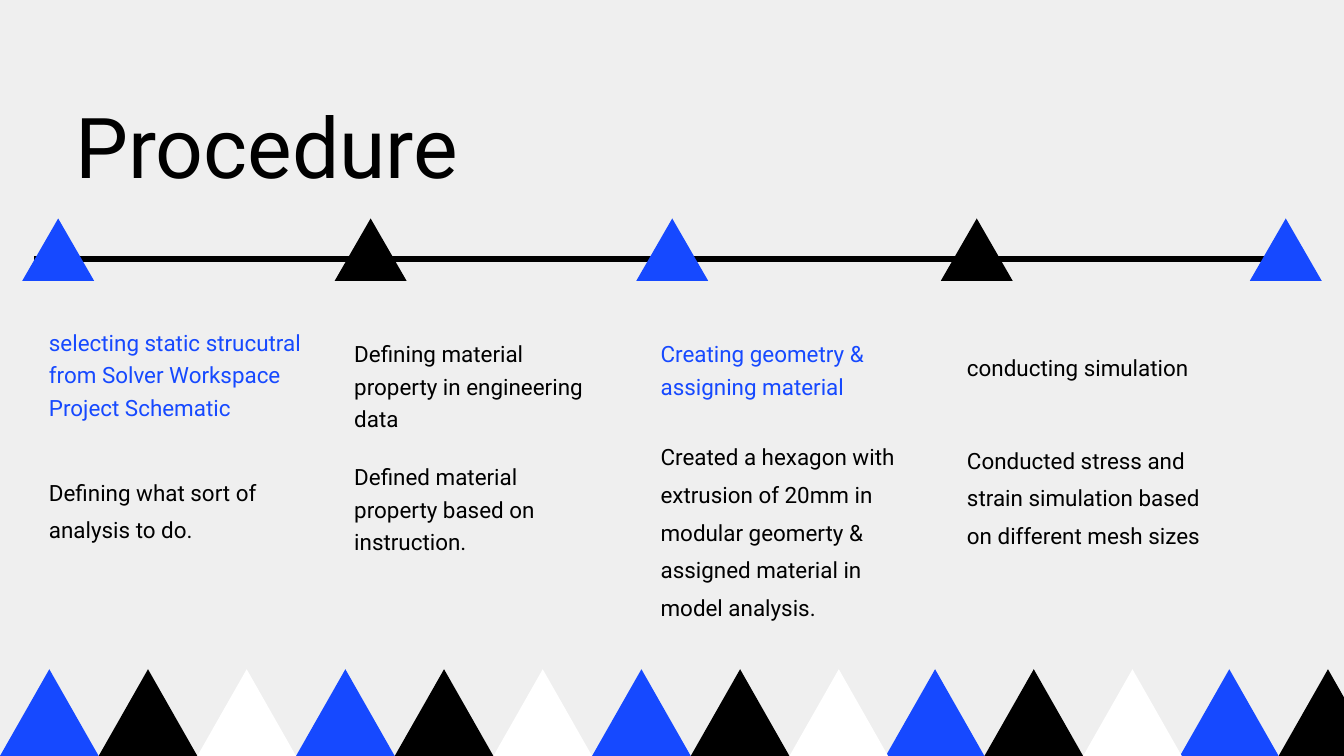
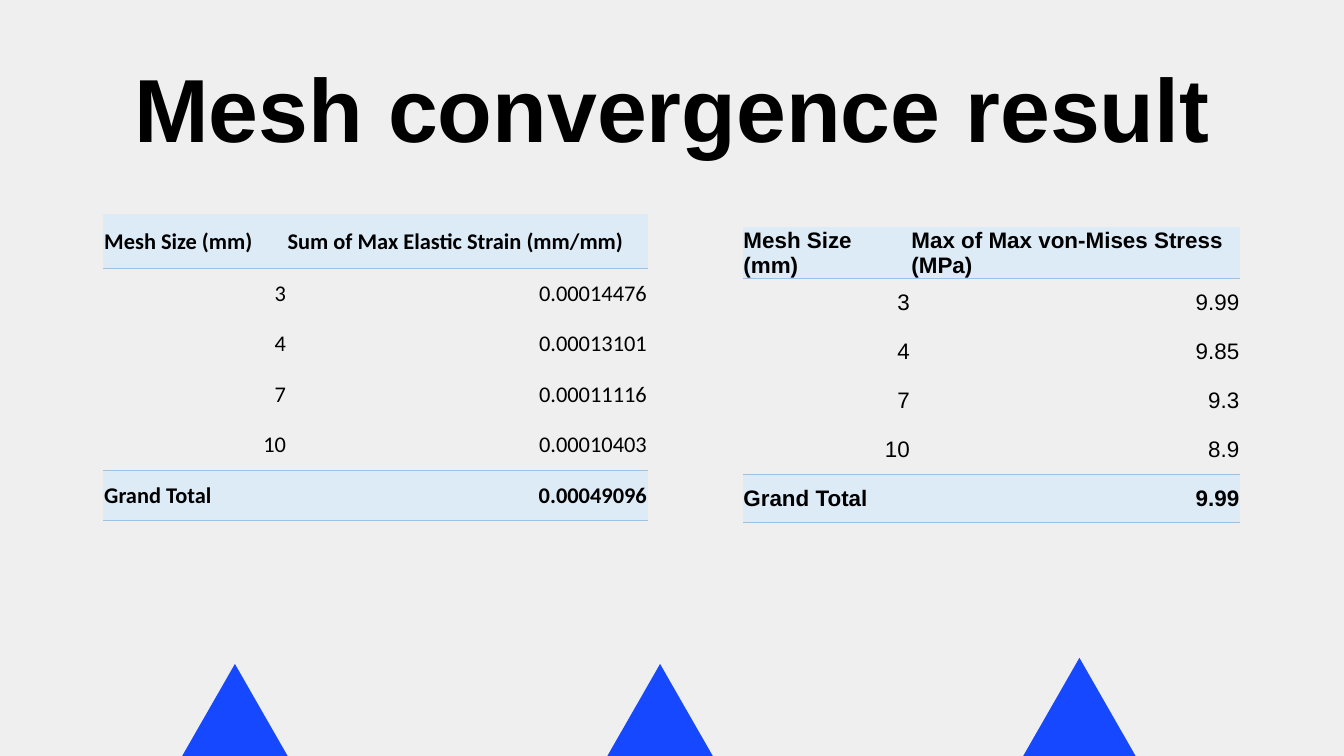
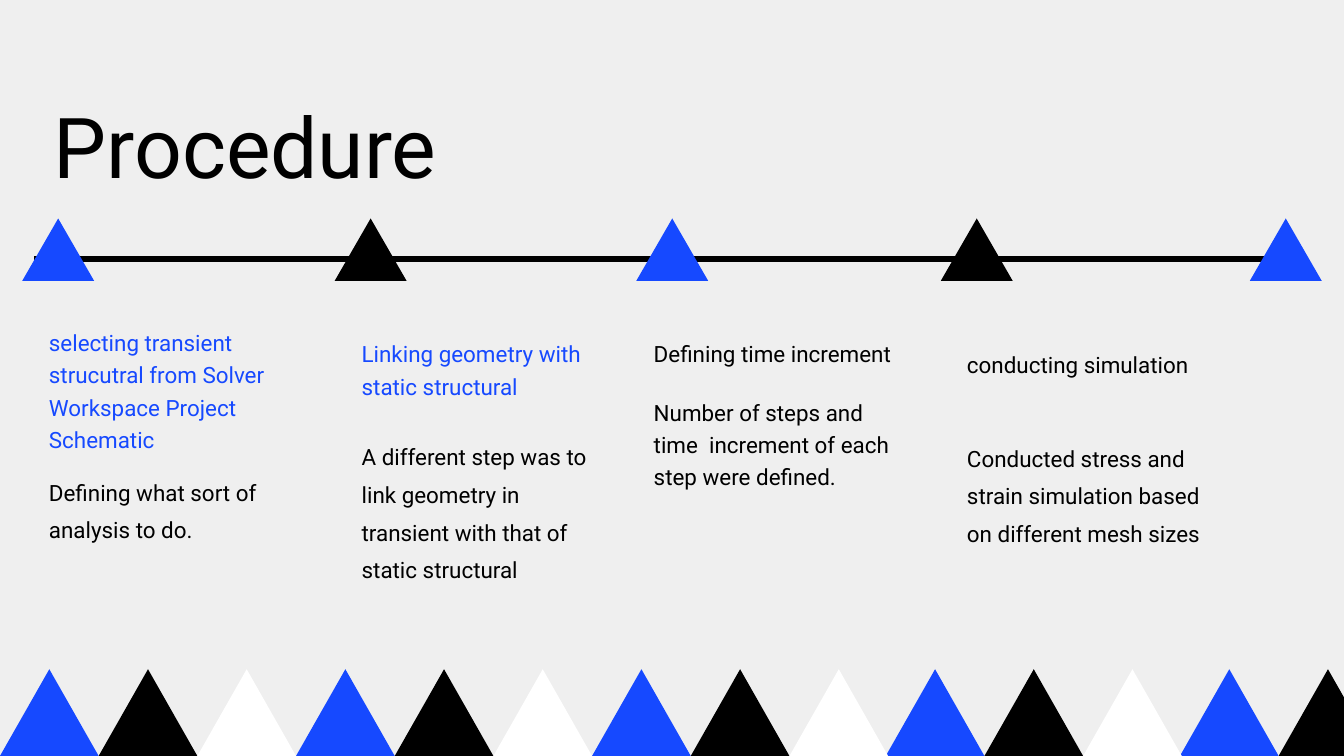
"""Build three slides on a mesh study: two procedure timelines and a results page."""
from lxml import etree
from pptx import Presentation
from pptx.dml.color import RGBColor
from pptx.enum.shapes import MSO_CONNECTOR, MSO_SHAPE
from pptx.enum.text import MSO_ANCHOR, MSO_AUTO_SIZE, PP_ALIGN
from pptx.oxml import parse_xml
from pptx.oxml.ns import nsdecls, qn
from pptx.util import Cm, Pt

STRAIGHT = MSO_CONNECTOR.STRAIGHT
TRIANGLE = MSO_SHAPE.ISOSCELES_TRIANGLE
TOP, MIDDLE = MSO_ANCHOR.TOP, MSO_ANCHOR.MIDDLE
NO_FIT = MSO_AUTO_SIZE.NONE
LEFT, CENTER, RIGHT = PP_ALIGN.LEFT, PP_ALIGN.CENTER, PP_ALIGN.RIGHT

COLORS = {
    "background": "EFEFEF",
    "blue": "1649FF",
    "black": "000000",
    "white": "FFFFFF",
    "table_band": "DDEBF7",
    "table_rule": "9BC2E6",
}
RGB = {name: RGBColor.from_string(value) for name, value in COLORS.items()}
NO_STYLE = "{2D5ABB26-0587-4C30-8999-92F81FD0307C}"
FRAME = {"word_wrap": True, "auto_size": NO_FIT, "vertical_anchor": TOP}
MARGINS = ("margin_left", "margin_top", "margin_right", "margin_bottom")


def add_triangle(s, x, y, w, h, color):
    sp = s.shapes.add_shape(TRIANGLE, Cm(x), Cm(y), Cm(w), Cm(h))
    sp.shadow.inherit = False
    sp.fill.solid()
    sp.fill.fore_color.rgb = RGB[color]
    sp.line.fill.background()


def write_text(tf, texts, color, font, spacing=1.0, align=LEFT, gap=0):
    for i, text in enumerate(texts):
        p = tf.paragraphs[0] if i == 0 else tf.add_paragraph()
        p.alignment, p.line_spacing = align, spacing
        if i:
            p.space_before = Pt(gap)
        r = p.add_run()
        r.text = text
        for name, value in font.items():
            setattr(r.font, name, value)
        r.font.color.rgb = RGB[color]


prs = Presentation()
prs.slide_width, prs.slide_height = Cm(50.8), Cm(28.58)

procedure_font = {"name": "Roboto", "size": Pt(90), "bold": False}
result_font = {"name": "Arial", "size": Pt(96), "bold": True}
titles = [
    ("Procedure", (2.84, 2.82, 36.22, 4.62), procedure_font, 1.2, LEFT, 0),
    ("Mesh convergence result", (1.96, 1.88, 46.89, 13.44), result_font, 1.0, CENTER, 0.13),
    ("Procedure", (2.03, 2.82, 36.22, 4.62), procedure_font, 1.2, LEFT, 0),
]
slides = []
for text, box, font, spacing, align, margin in titles:
    s = prs.slides.add_slide(prs.slide_layouts[5])
    s.background.fill.solid()
    s.background.fill.fore_color.rgb = RGB["background"]
    sp = s.shapes.title
    sp.left, sp.top, sp.width, sp.height = map(Cm, box)
    for name, value in {**FRAME, **dict.fromkeys(MARGINS, Cm(margin))}.items():
        setattr(sp.text_frame, name, value)
    write_text(sp.text_frame, [text], "black", font, spacing, align)
    slides.append(s)

static_steps = [
    (1.85, 12.24, 9.93, 4.06, 1.2, "blue",
     ["selecting static strucutral from Solver Workspace Project Schematic"]),
    (1.85, 17.7, 9.35, 3.3, 1.4, "black", ["Defining what sort of analysis to do."]),
    (13.39, 12.67, 9.35, 10.46, 1.2, "black",
     ["Defining material property in engineering data",
      "Defined material property based on instruction."]),
    (24.97, 12.67, 9.35, 3.68, 1.2, "blue", ["Creating geometry & assigning material"]),
    (24.97, 16.36, 9.35, 7.19, 1.4, "black",
     ["Created a hexagon with extrusion of 20mm in modular geomerty & "
      "assigned material in model analysis."]),
    (36.55, 13.18, 9.35, 2.46, 1.2, "black", ["conducting simulation"]),
    (36.55, 16.48, 9.35, 4.32, 1.4, "black",
     ["Conducted stress and strain simulation based on different mesh sizes"]),
]
transient_steps = [
    (1.85, 12.24, 9.93, 4.06, 1.2, "blue",
     ["selecting transient strucutral from Solver Workspace Project Schematic"]),
    (1.85, 17.7, 9.35, 3.3, 1.4, "black", ["Defining what sort of analysis to do."]),
    (13.67, 12.67, 9.35, 3.68, 1.2, "blue", ["Linking geometry with static structural"]),
    (13.67, 16.36, 9.35, 5.74, 1.4, "black",
     ["A different step was to link geometry in transient with that of static structural"]),
    (24.71, 12.67, 9.35, 9.22, 1.2, "black",
     ["Defining time increment",
      "Number of steps and time  increment of each step were defined."]),
    (36.55, 13.08, 9.35, 2.46, 1.2, "black", ["conducting simulation"]),
    (36.55, 16.41, 9.35, 4.32, 1.4, "black",
     ["Conducted stress and strain simulation based on different mesh sizes"]),
]
line_starts = [1.27, 13.43, 24.97, 36.63]
line_length, line_y = 12.4, 9.8
markers = [0.84, 12.65, 24.05, 35.56, 47.24]
band_starts = [0, 11.19, 22.38, 33.48, 44.6]
band_width = 3.73
step_font = {"name": "Roboto", "size": Pt(24)}

for s, steps in ((slides[0], static_steps), (slides[2], transient_steps)):
    for i, x in enumerate(line_starts):
        line = s.shapes.add_connector(STRAIGHT, Cm(x + line_length), Cm(line_y), Cm(x), Cm(line_y))
        line.line.color.rgb = RGB["black"]
        line.line.width = Pt(6)
        if i == 1:
            etree.SubElement(line.line._get_or_add_ln(), qn("a:tailEnd"), type="diamond")
        etree.SubElement(line._element.spPr, qn("a:effectLst"))
    for i, color in enumerate(("blue", "black", "white")):
        for start in band_starts:
            x = start + i * band_width
            if Cm(x) < prs.slide_width:
                add_triangle(s, x, 25.3, band_width, 3.28, color)
    for i, x in enumerate(markers):
        add_triangle(s, x, 8.26, 2.72, 2.36, ("blue", "black")[i % 2])
    for x, y, w, h, spacing, color, texts in steps:
        tf = s.shapes.add_textbox(Cm(x), Cm(y), Cm(w), Cm(h)).text_frame
        for name, value in {**FRAME, **dict.fromkeys(MARGINS, 0)}.items():
            setattr(tf, name, value)
        write_text(tf, texts, color, step_font, spacing, gap=28)

s = slides[1]
for x, y in ((37.69, 24.87), (21.84, 25.1), (5.77, 25.1)):
    add_triangle(s, x, y, 6.22, 5.43, "blue")

tables = [
    ("Calibri", 3.91, 8.1, (6.93, 13.64), (2.03, 1.91), [
        ("Mesh Size (mm)", "Sum of Max Elastic Strain (mm/mm)"),
        ("3", "0.00014476"),
        ("4", "0.00013101"),
        ("7", "0.00011116"),
        ("10", "0.00010403"),
        ("Grand Total", "0.00049096"),
    ]),
    ("Arial", 28.07, 8.59, (6.35, 12.45), (1.85, 1.85), [
        ("Mesh Size (mm)", "Max of Max von-Mises Stress (MPa)"),
        ("3", "9.99"),
        ("4", "9.85"),
        ("7", "9.3"),
        ("10", "8.9"),
        ("Grand Total", "9.99"),
    ]),
]
cell_format = {"vertical_anchor": MIDDLE, **dict.fromkeys(MARGINS[:3], Cm(0.03)), "margin_bottom": 0}
for font, x, y, widths, (head_height, row_height), rows in tables:
    last = len(rows) - 1
    height = head_height + last * row_height
    sp = s.shapes.add_table(len(rows), len(widths), Cm(x), Cm(y), Cm(sum(widths)), Cm(height))
    sp._element.xpath(".//a:tableStyleId")[0].text = NO_STYLE
    table = sp.table
    table.horz_banding = False
    for col, width in zip(table.columns, widths):
        col.width = Cm(width)
    for i, values in enumerate(rows):
        table.rows[i].height = Cm(row_height if i else head_height)
        band = i in (0, last)
        for j, value in enumerate(values):
            cell = table.cell(i, j)
            for name, setting in cell_format.items():
                setattr(cell, name, setting)
            for side in {0: ("lnB",), last: ("lnT", "lnB")}.get(i, ()):
                cell._tc.get_or_add_tcPr().append(parse_xml(
                    f'<a:{side} {nsdecls("a")} w="6350"><a:solidFill>'
                    f'<a:srgbClr val="{COLORS["table_rule"]}"/></a:solidFill></a:{side}>'))
            if band:
                cell.fill.solid()
                cell.fill.fore_color.rgb = RGB["table_band"]
            else:
                cell.fill.background()
            align = LEFT if i == 0 or (band and j == 0) else RIGHT
            cell_font = {"name": font, "size": Pt(24), "bold": band}
            write_text(cell.text_frame, [value], "black", cell_font, align=align)

prs.save("out.pptx")
